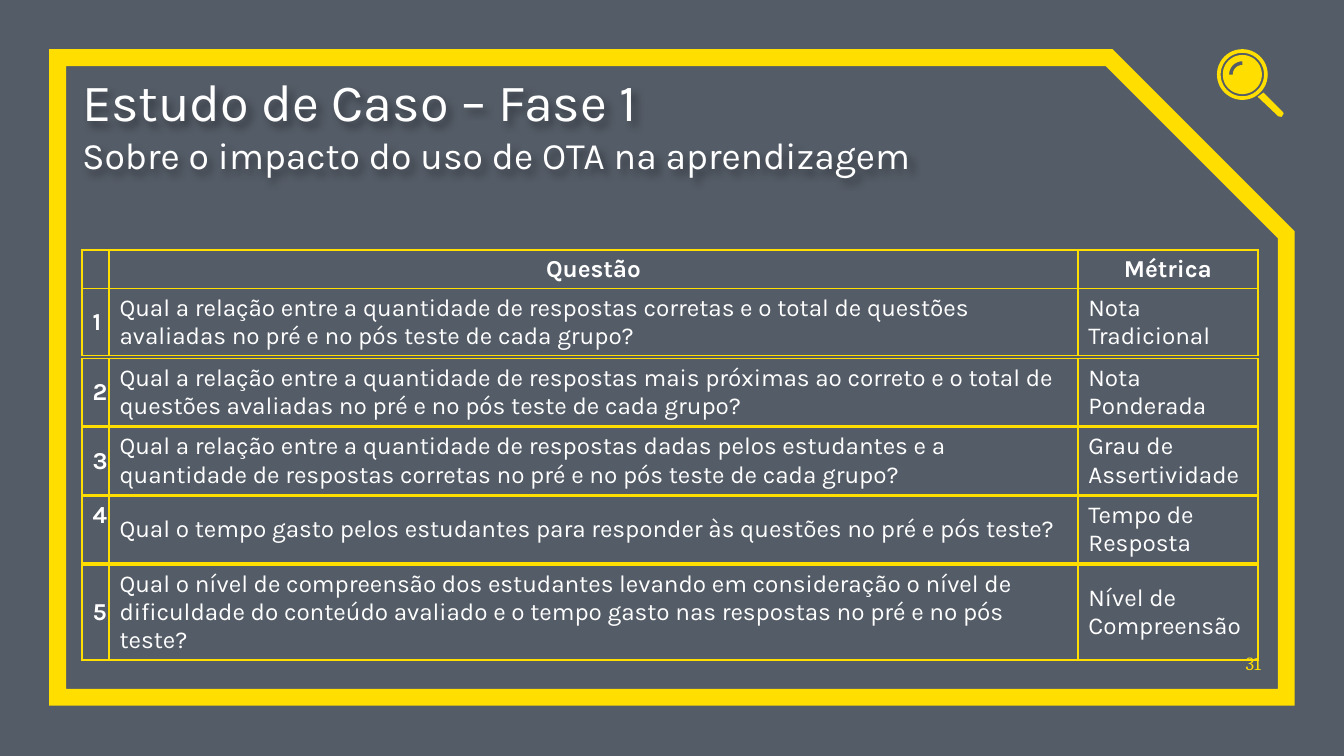
import math

from lxml import etree
from pptx import Presentation
from pptx.dml.color import RGBColor
from pptx.enum.shapes import MSO_SHAPE
from pptx.enum.text import MSO_ANCHOR, PP_ALIGN
from pptx.oxml import parse_xml
from pptx.oxml.ns import nsdecls, qn
from pptx.util import Cm, Pt

RECTANGLE = MSO_SHAPE.RECTANGLE
SNIPPED_RECTANGLE = MSO_SHAPE.SNIP_1_RECTANGLE
MIDDLE, BOTTOM = MSO_ANCHOR.MIDDLE, MSO_ANCHOR.BOTTOM
LEFT, CENTER, RIGHT = PP_ALIGN.LEFT, PP_ALIGN.CENTER, PP_ALIGN.RIGHT

NAVY = RGBColor(0x04, 0x0F, 0x20)
YELLOW = RGBColor(0xFF, 0xDE, 0x00)
WHITE = RGBColor(0xFF, 0xFF, 0xFF)

FONT = "Karla"
COLUMN_WIDTHS = (0.51, 18.31, 3.4)
TABLE_LEFT = 1.55
HEADER_TOP = 4.72
SECOND_TABLE_TOP = 6.78
TABLE_STEP = 1.3
HEADER_HEIGHT = 0.61
ROW_HEIGHT = 1.04

HEADER = ("", "Questão", "Métrica")
QUESTIONS = (
    ("1", "Qual a relação entre a quantidade de respostas corretas e o total de questões "
     "avaliadas no pré e no pós teste de cada grupo?", "Nota Tradicional"),
    ("2", "Qual a relação entre a quantidade de respostas mais próximas ao correto e o total de "
     "questões avaliadas no pré e no pós teste de cada grupo?", "Nota Ponderada"),
    ("3", "Qual a relação entre a quantidade de respostas dadas pelos estudantes e a "
     "quantidade de respostas corretas no pré e no pós teste de cada grupo?",
     "Grau de Assertividade"),
    ("4 ", "Qual o tempo gasto pelos estudantes para responder às questões no pré e pós teste?",
     "Tempo de Resposta"),
    ("5", "Qual o nível de compreensão dos estudantes levando em consideração o nível de "
     "dificuldade do conteúdo avaliado e o tempo gasto nas respostas no pré e no pós teste?",
     "Nível de Compreensão"),
)

LENS_CENTER = (23.48, 1.41)
HANDLE = ((23.88, 1.75), (23.77, 1.83), (24.16, 2.2), (24.22, 2.21), (24.26, 2.15), (24.25, 2.12))


def set_font(font, size, color, bold=False, name=FONT):
    font.name = name
    font.size = Pt(size)
    font.bold = bold
    font.color.rgb = color


def clear_margins(frame):
    frame.margin_left = frame.margin_right = frame.margin_top = frame.margin_bottom = 0


def add_backdrop(slide, width, height):
    backdrop = slide.shapes.add_shape(RECTANGLE, 0, 0, width, height)
    backdrop.shadow.inherit = False
    backdrop.line.fill.background()
    backdrop.fill.solid()
    backdrop.fill.fore_color.rgb = NAVY
    color = backdrop.fill._xPr.find(qn("a:solidFill"))[0]
    etree.SubElement(color, qn("a:alpha"), val="68000")


def add_frame(slide):
    frame = slide.shapes.add_shape(SNIPPED_RECTANGLE, Cm(1.09), Cm(1.09), Cm(23.22), Cm(12.09))
    frame.adjustments[0] = 0.277
    frame.shadow.inherit = False
    frame.fill.background()
    frame.line.color.rgb = YELLOW
    frame.line.width = Pt(9)
    etree.SubElement(frame.line._get_or_add_ln(), qn("a:miter"), lim="800000")


def format_title(slide):
    title = slide.shapes.title
    title.left, title.top, title.width, title.height = Cm(1.55), Cm(1.17), Cm(19.23), Cm(2.18)
    frame = title.text_frame
    clear_margins(frame)
    frame.vertical_anchor = BOTTOM
    paragraph = frame.paragraphs[0]
    paragraph.alignment = LEFT
    paragraph.font.name = FONT
    paragraph.font.color.rgb = WHITE
    heading = paragraph.add_run()
    heading.text = "Estudo de Caso – Fase 1"
    heading.font.size = Pt(28)
    paragraph.add_line_break()
    subtitle = paragraph.add_run()
    subtitle.text = "Sobre o impacto do uso de OTA na aprendizagem"
    subtitle.font.size = Pt(20)
    title._element.spPr.append(parse_xml(
        f'<a:effectLst {nsdecls("a")}><a:outerShdw blurRad="50800" dist="38100" dir="2700000">'
        '<a:srgbClr val="000000"><a:alpha val="40000"/></a:srgbClr></a:outerShdw></a:effectLst>'))


def add_slide_number(slide):
    box = slide.shapes.add_textbox(Cm(23.14), Cm(12.04), Cm(0.69), Cm(0.71))
    frame = box.text_frame
    frame.word_wrap = True
    clear_margins(frame)
    frame.vertical_anchor = BOTTOM
    paragraph = frame.paragraphs[0]
    paragraph.text = "31"
    paragraph.alignment = RIGHT
    set_font(paragraph.font, 10, YELLOW, name="Cambria")


def arc(radius, start, end, steps=48):
    angles = [math.radians(start + (end - start) * step / steps) for step in range(steps + 1)]
    x, y = LENS_CENTER
    return [(x + radius * math.cos(angle), y + radius * math.sin(angle)) for angle in angles]


def add_outline(group, contours):
    contours = [[(Cm(x), Cm(y)) for x, y in contour] for contour in contours]
    builder = group.shapes.build_freeform(*contours[0][0])
    builder.add_line_segments(contours[0][1:])
    for contour in contours[1:]:
        builder.move_to(*contour[0])
        builder.add_line_segments(contour[1:])
    shape = builder.convert_to_shape()
    shape.shadow.inherit = False
    shape.fill.solid()
    shape.fill.fore_color.rgb = YELLOW
    shape.line.fill.background()


def add_magnifier(slide):
    group = slide.shapes.add_group_shape()
    highlight = arc(0.25, 180, 270) + arc(0.18, 270, 180)
    add_outline(group, [arc(0.48, 0, 360), arc(0.41, 360, 0)])
    add_outline(group, [arc(0.37, 360, 0), highlight])
    add_outline(group, [HANDLE])


def format_cell(cell, text, alignment, bold):
    cell.margin_left = cell.margin_right = Cm(0.2)
    cell.margin_top = cell.margin_bottom = Cm(0.1)
    cell.vertical_anchor = MIDDLE
    paragraph = cell.text_frame.paragraphs[0]
    paragraph.text = text
    paragraph.alignment = alignment
    set_font(paragraph.font, 13, WHITE, bold)
    if not text:
        cell.margin_top = cell.margin_bottom = 0
    properties = cell._tc.get_or_add_tcPr()
    for side in ("lnL", "lnR", "lnT", "lnB"):
        properties.append(parse_xml(
            f'<a:{side} {nsdecls("a")} w="{Pt(1)}"><a:solidFill><a:srgbClr val="{YELLOW}"/>'
            f'</a:solidFill></a:{side}>'))
    cell.fill.background()


def add_question_table(slide, top, rows):
    heights = [HEADER_HEIGHT if row is HEADER else ROW_HEIGHT for row in rows]
    table = slide.shapes.add_table(len(rows), len(COLUMN_WIDTHS), Cm(TABLE_LEFT), Cm(top),
                                   Cm(sum(COLUMN_WIDTHS)), Cm(sum(heights))).table
    table.first_row = table.horz_banding = False
    for column, width in zip(table.columns, COLUMN_WIDTHS):
        column.width = Cm(width)
    for row_index, row in enumerate(rows):
        table.rows[row_index].height = Cm(heights[row_index])
        for column_index, text in enumerate(row):
            label = row is HEADER or column_index == 0
            format_cell(table.cell(row_index, column_index), text,
                        CENTER if label else LEFT, label)


def main():
    presentation = Presentation()
    presentation.slide_width, presentation.slide_height = Cm(25.4), Cm(14.29)
    slide = presentation.slides.add_slide(presentation.slide_layouts[5])
    add_backdrop(slide, presentation.slide_width, presentation.slide_height)
    add_frame(slide)
    add_slide_number(slide)
    format_title(slide)
    title = slide.shapes.title._element
    title.getparent().append(title)
    add_magnifier(slide)
    add_question_table(slide, HEADER_TOP, [HEADER, QUESTIONS[0]])
    for index, question in enumerate(QUESTIONS[1:]):
        add_question_table(slide, SECOND_TABLE_TOP + index * TABLE_STEP, [question])
    presentation.save("out.pptx")


if __name__ == "__main__":
    main()
